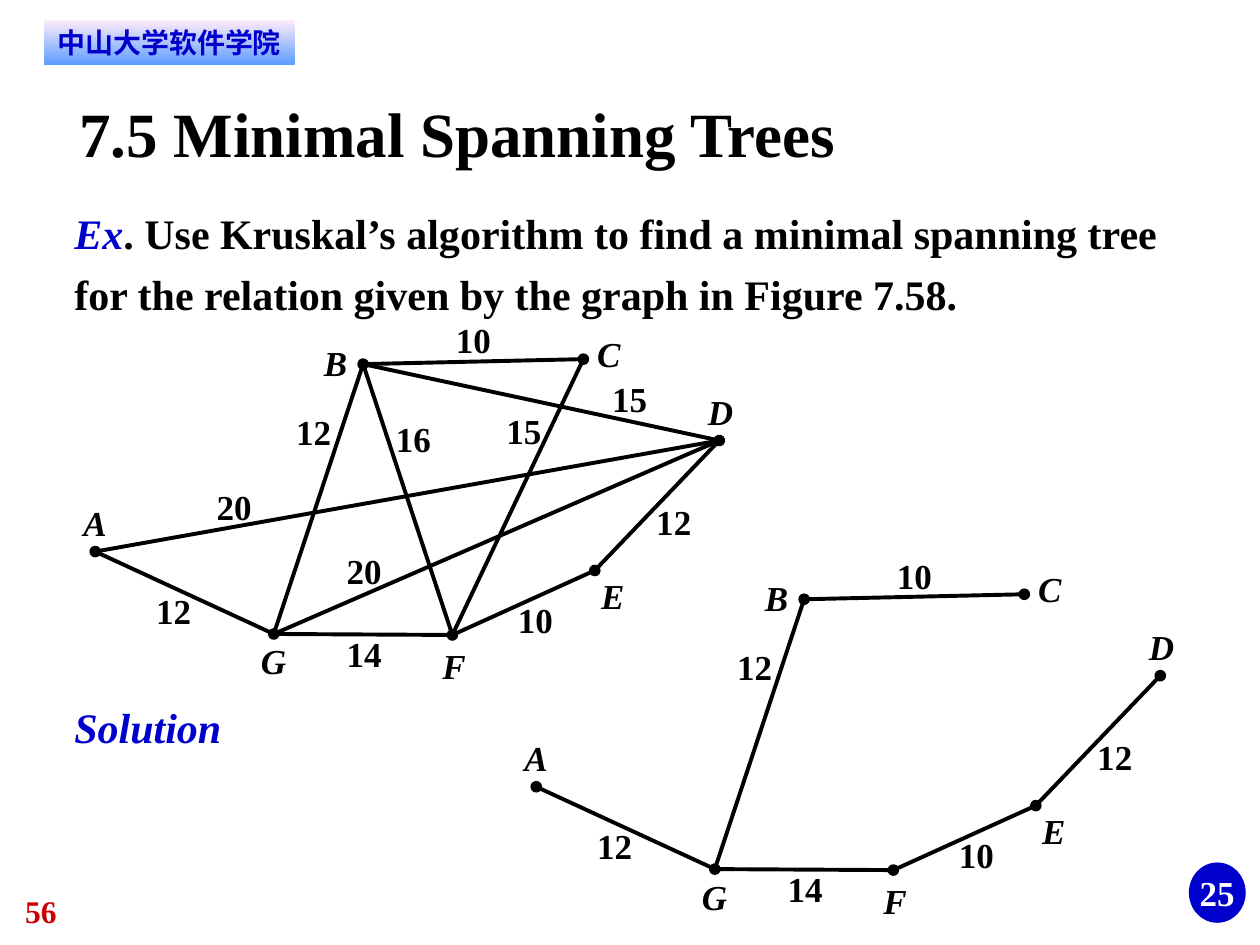
from lxml import etree
from pptx import Presentation
from pptx import util as u
from pptx.dml import color
from pptx.enum import shapes, text
from pptx.oxml import ns

Cm = u.Cm
FACE = "Times New Roman"
BLACK, BLUE, RED, WHITE = "000000", "0000CC", "CC0000", "FFFFFF"


def hue(code):
    return color.RGBColor.from_string(code)


def put(box, words, size, tint, slant=False, wrap=True, face=FACE):
    frame = box.text_frame
    frame.word_wrap = wrap
    frame.margin_left = frame.margin_right = 0
    frame.margin_top = frame.margin_bottom = 0
    para = frame.paragraphs[0]
    para.add_run().text = words
    font = para.font
    font.name, font.size = face, u.Pt(size)
    font.bold, font.italic = True, slant
    font.color.rgb = hue(tint)
    return para


deck = Presentation()
deck.slide_width, deck.slide_height = Cm(25.4), Cm(19.05)
slide = deck.slides.add_slide(deck.slide_layouts[6])
items = slide.shapes

page = items.add_textbox(Cm(0.51), Cm(17.98), Cm(1.9), Cm(0.76))
put(page, "56", 18, RED)

badge = items.add_shape(shapes.MSO_SHAPE.RECTANGLE, Cm(0.89), Cm(0.41), Cm(5.05), Cm(0.89))
badge.shadow.inherit = False
badge.line.fill.background()
badge.fill.gradient()
badge.fill.gradient_angle = 270
for stop, code in zip(badge.fill.gradient_stops, ("FFEBFA", "5E9EFF")):
    stop.color.rgb = hue(code)
para = put(badge, "中山大学软件学院", 16, BLUE, face="DejaVu Sans")
para.alignment = text.PP_ALIGN.CENTER
badge.text_frame.vertical_anchor = text.MSO_ANCHOR.MIDDLE

title = items.add_textbox(Cm(1.6), Cm(1.9), Cm(22.23), Cm(1.52))
put(title, "7.5 Minimal Spanning Trees", 36, BLACK)

task = items.add_textbox(Cm(1.5), Cm(3.99), Cm(22.73), Cm(2.44))
para = put(task, "Ex", 24, BLACK)
para.line_spacing = 1.2
lead = para.runs[0].font
lead.italic = True
lead.color.rgb = hue(BLUE)
para.add_run().text = (
    ". Use Kruskal’s algorithm to find a minimal spanning tree "
    "for the relation given by the graph in Figure 7.58."
)

nodes = {
    "A": ((1.92, 11.12), (1.68, 10.11)),
    "B": ((7.32, 7.34), (6.53, 6.88)),
    "C": ((11.76, 7.24), (12.04, 6.71)),
    "D": ((14.5, 8.88), (14.27, 7.87)),
    "E": ((11.99, 11.5), (12.12, 11.58)),
    "F": ((9.12, 12.8), (8.92, 13.0)),
    "G": ((5.52, 12.78), (5.26, 12.9)),
}
edges = [
    ("BG", 12, (5.97, 8.28), ""),
    ("DG", 20, (6.99, 11.07), ""),
    ("FE", 10, (10.44, 12.07), "head tail"),
    ("GF", 14, (6.99, 12.75), ""),
    ("AG", 12, (3.15, 11.89), "head tail"),
    ("ED", 12, (13.23, 10.08), "tail"),
    ("DA", 20, (4.37, 9.78), ""),
    ("BF", 16, (7.98, 8.41), ""),
    ("CF", 15, (10.21, 8.26), ""),
    ("BD", 15, (12.34, 7.62), ""),
    ("BC", 10, (9.19, 6.43), "head tail"),
]
tree = {"BG", "FE", "GF", "AG", "ED", "BC"}

for dx, dy, chosen in ((0, 0, {edge[0] for edge in edges}), (8.89, 4.74, tree)):
    for name, (dot, (x, y)) in nodes.items():
        label = items.add_textbox(Cm(x + dx), Cm(y + dy), Cm(0.49), Cm(0.84))
        put(label, name, 20, BLACK, slant=True, wrap=False)
    for ends, cost, (x, y), dots in edges:
        if ends not in chosen:
            continue
        (ax, ay), (bx, by) = (nodes[end][0] for end in ends)
        link = items.add_connector(
            shapes.MSO_CONNECTOR.STRAIGHT,
            Cm(ax + dx), Cm(ay + dy), Cm(bx + dx), Cm(by + dy),
        )
        link.line.color.rgb = hue(BLACK)
        link.line.width = u.Pt(2.25)
        for side in dots.split():
            etree.SubElement(link.line._get_or_add_ln(), ns.qn(f"a:{side}End"), type="oval")
        etree.SubElement(link._element.spPr, ns.qn("a:effectLst"))
        label = items.add_textbox(Cm(x + dx), Cm(y + dy), Cm(0.71), Cm(0.84))
        put(label, str(cost), 20, BLACK, wrap=False)

answer = items.add_textbox(Cm(1.5), Cm(13.94), Cm(4.22), Cm(2.44))
put(answer, "Solution", 24, BLUE, slant=True).line_spacing = 1.2

disc = items.add_shape(shapes.MSO_SHAPE.OVAL, Cm(23.98), Cm(17.4), Cm(1.12), Cm(1.19))
disc.shadow.inherit = False
disc.fill.solid()
disc.fill.fore_color.rgb = hue(BLUE)
disc.line.color.rgb = hue(BLUE)
disc.line.width = u.Pt(0.75)
put(disc, "25", 20, WHITE, wrap=False).alignment = text.PP_ALIGN.CENTER
disc.text_frame.vertical_anchor = text.MSO_ANCHOR.MIDDLE

deck.save("out.pptx")
